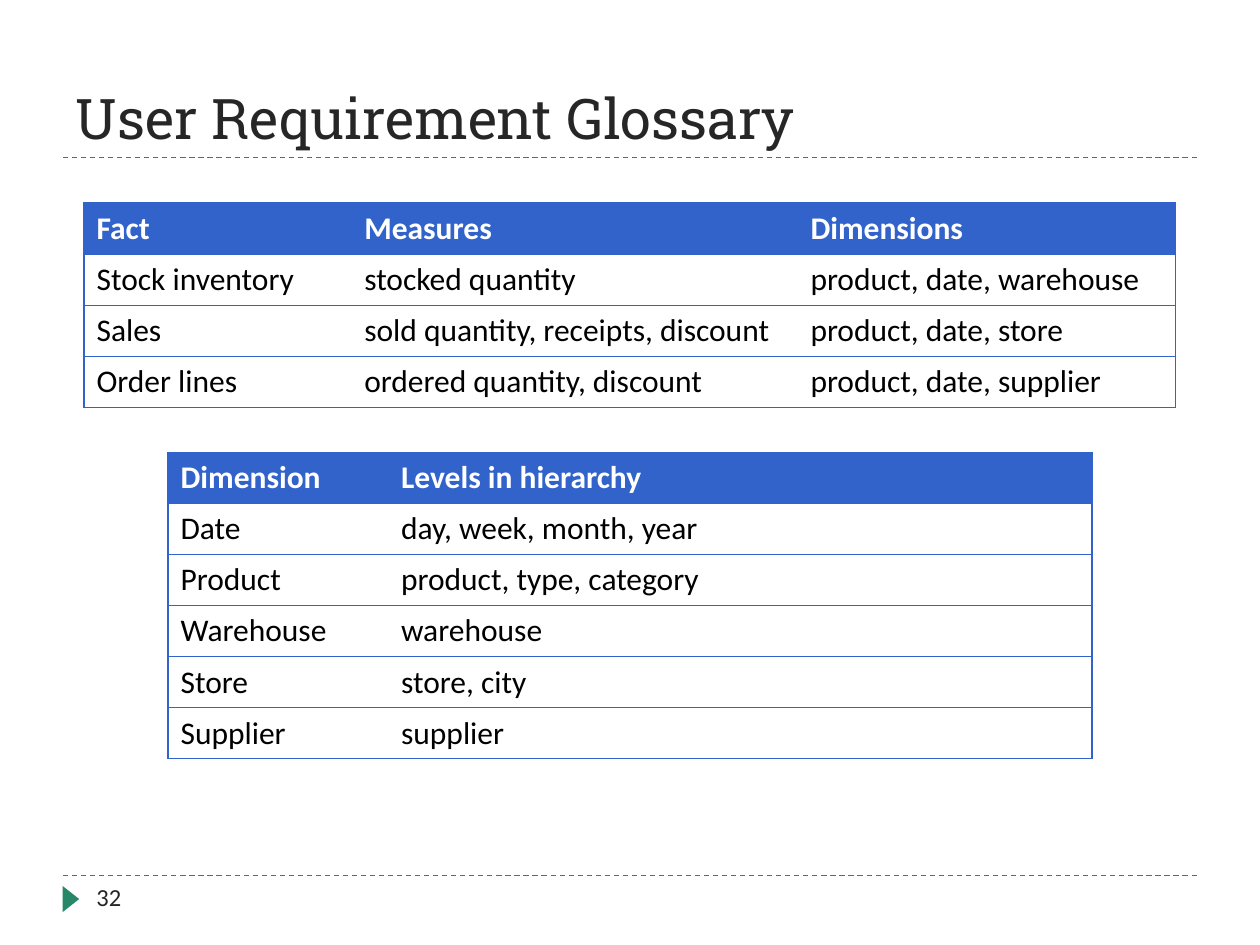
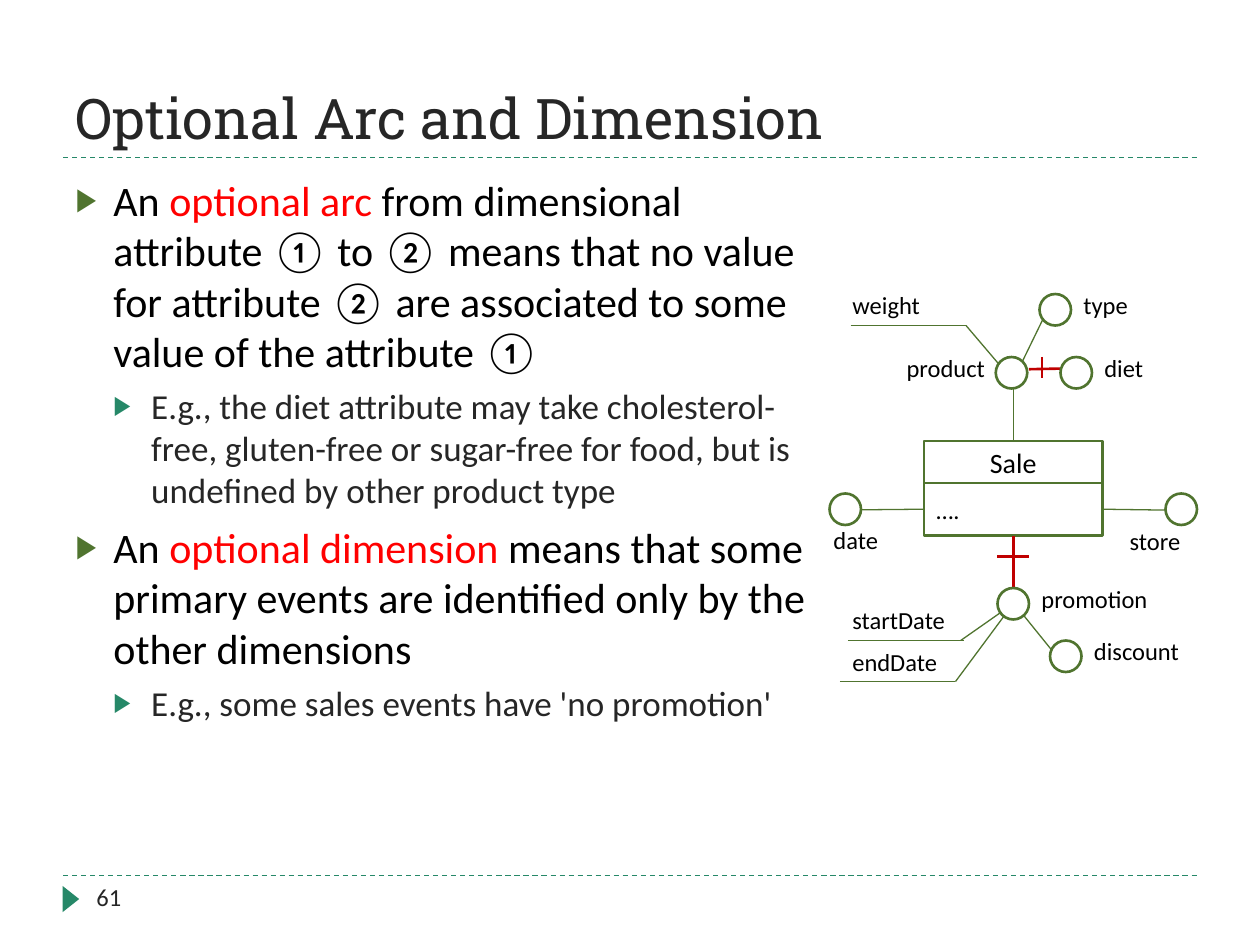
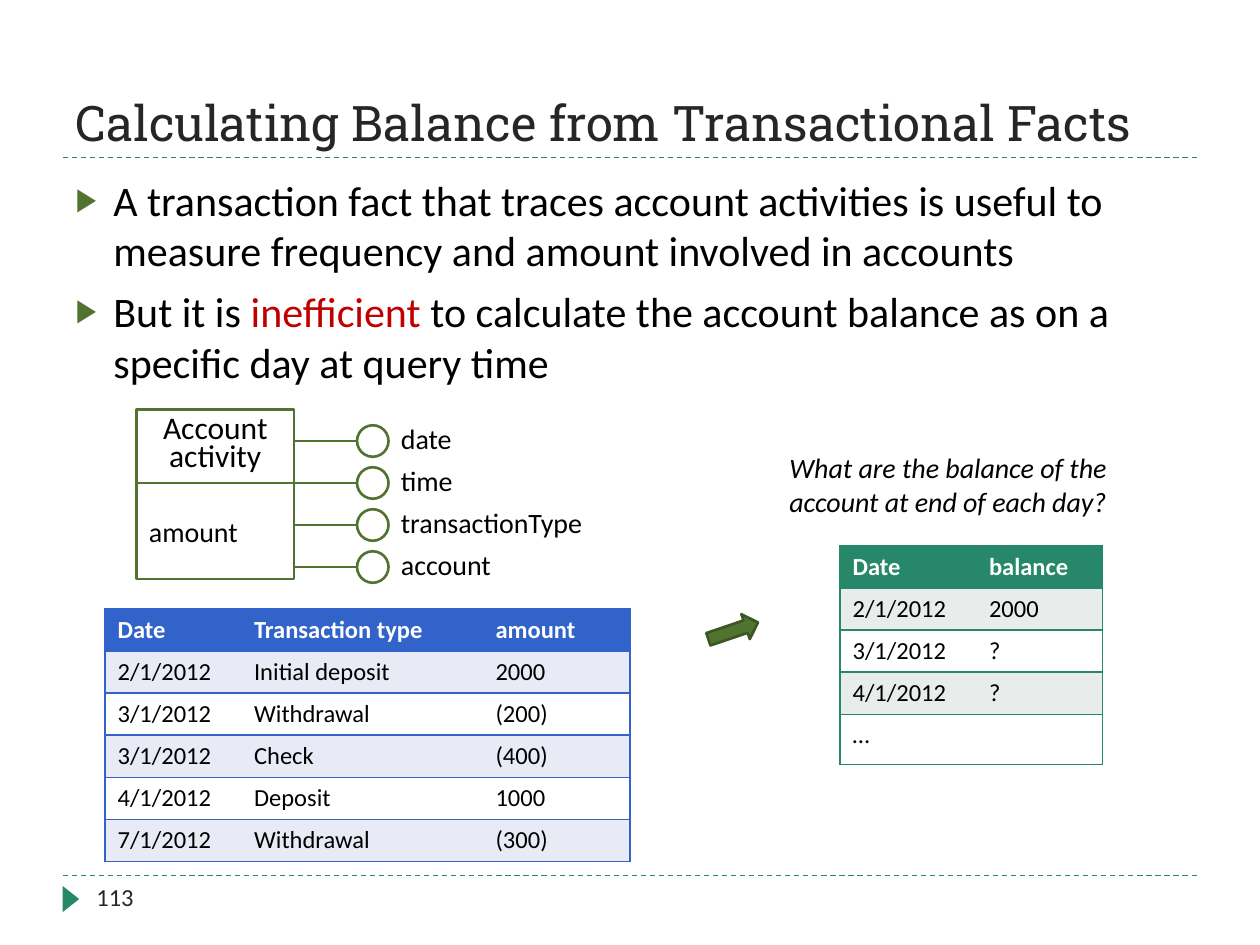
from dataclasses import dataclass

from lxml import etree
from pptx import Presentation
from pptx.dml.color import RGBColor
from pptx.enum.dml import MSO_LINE as Dash
from pptx.enum.shapes import MSO_CONNECTOR as Link, MSO_SHAPE as Preset
from pptx.enum.text import MSO_ANCHOR as Anchor, MSO_AUTO_SIZE as Fit, PP_ALIGN as Align
from pptx.oxml.ns import qn
from pptx.util import Pt


@dataclass(frozen=True)
class Theme:
    """Colours, fonts and sizes shared by the slides."""

    heading_font: str = "Roboto Slab"
    text_font: str = "Calibri"
    ink: str = "000000"
    soft_ink: str = "262626"
    paper: str = "FFFFFF"
    teal: str = "268868"
    teal_band: str = "E8EDEB"
    blue: str = "3163CA"
    blue_band: str = "E8EAF6"
    olive: str = "50742F"
    dark_olive: str = "3B5623"
    red: str = "FF0000"
    crimson: str = "C00000"
    heading: int = 32
    long_heading: int = 28
    body: int = 24
    detail: int = 20
    table: int = 18
    caption: int = 16
    label: int = 14
    thin: float = 0.75
    thick: float = 1.5
    node: int = 18


THEME = Theme()
BULLETS = [
    {"size": THEME.body, "ink": THEME.ink, "mark": THEME.olive, "before": 6},
    {"size": THEME.detail, "ink": THEME.soft_ink, "mark": THEME.teal, "before": 5},
]


def rgb(colour):
    """Turn a hex string into a colour."""
    return RGBColor.from_string(colour)


def apply(target, formats):
    """Set every attribute named in formats."""
    for name, value in formats.items():
        setattr(target, name, value)


def write(paragraph, text, size, colour=THEME.ink, font=THEME.text_font, bold=False, italic=False):
    """Add one formatted run."""
    run = paragraph.add_run()
    run.text = text
    apply(run.font, {"name": font, "size": Pt(size), "bold": bold, "italic": italic})
    run.font.color.rgb = rgb(colour)


def place(shape, box):
    """Move and size a shape to a box in points."""
    apply(shape, dict(zip(("left", "top", "width", "height"), map(Pt, box))))


def label(slide, text, box, size=THEME.label, align=Align.LEFT, **style):
    """Add a wrapped line of free text."""
    note = slide.shapes.add_textbox(*map(Pt, box))
    note.text_frame.word_wrap = True
    paragraph = note.text_frame.paragraphs[0]
    paragraph.alignment = align
    write(paragraph, text, size, **style)


def outline(slide, preset, box, fill=THEME.paper, line=THEME.olive):
    """Add a filled and outlined preset shape."""
    shape = slide.shapes.add_shape(preset, *map(Pt, box))
    shape.shadow.inherit = False
    shape.fill.solid()
    shape.fill.fore_color.rgb = rgb(fill)
    shape.line.color.rgb = rgb(line)
    shape.line.width = Pt(THEME.thick)
    return shape


def fact_part(slide, text, box, size, align=Align.LEFT, spacing=None):
    """Add one compartment of a fact box."""
    part = outline(slide, Preset.RECTANGLE, box)
    apply(part.text_frame, {"word_wrap": True, "vertical_anchor": Anchor.MIDDLE})
    paragraph = part.text_frame.paragraphs[0]
    apply(paragraph, {"alignment": align, "line_spacing": spacing})
    write(paragraph, text, size)
    return part


def node(slide, left, top):
    """Add the circle of a dimension or attribute."""
    outline(slide, Preset.OVAL, (left, top, THEME.node, THEME.node))


def arc(slide, start, end, colour=THEME.olive, width=THEME.thin, dash=None):
    """Add a straight line without a shadow."""
    connector = slide.shapes.add_connector(Link.STRAIGHT, *map(Pt, (*start, *end)))
    connector.line.color.rgb = rgb(colour)
    apply(connector.line, {"width": Pt(width), "dash_style": dash})
    etree.SubElement(connector.element.spPr, qn("a:effectLst"))
    return connector


def frame(deck, layout, heading, number, size=THEME.heading):
    """Start a slide with its title, rules and page number."""
    slide = deck.slides.add_slide(deck.slide_layouts[layout])
    for y in (500.5, 90):
        arc(slide, (36, y), (684, y), THEME.teal, dash=Dash.DASH)
    marker = outline(slide, Preset.ISOSCELES_TRIANGLE, (33, 509, 15, 9.5), THEME.teal)
    marker.line.fill.background()
    marker.rotation = 90
    title = slide.shapes.title
    place(title, (36, 12, 648, 78))
    apply(title.text_frame, {"vertical_anchor": Anchor.BOTTOM, "auto_size": Fit.NONE})
    paragraph = title.text_frame.paragraphs[0]
    paragraph.alignment = Align.LEFT
    write(paragraph, heading, size, THEME.soft_ink, THEME.heading_font)
    label(slide, number, (48, 500.5, 156, 29), colour=THEME.soft_ink)
    return slide


def add_bullet(paragraph, level):
    """Give a paragraph its indent and triangle bullet."""
    properties = paragraph._p.get_or_add_pPr()
    properties.set("marL", str(Pt(21.6 * (level + 1))))
    properties.set("indent", str(-Pt(21.6)))
    colour = etree.SubElement(properties, qn("a:buClr"))
    etree.SubElement(colour, qn("a:srgbClr"), val=BULLETS[level]["mark"])
    etree.SubElement(properties, qn("a:buSzPct"), val="76000")
    etree.SubElement(properties, qn("a:buFont"), typeface=THEME.text_font)
    etree.SubElement(properties, qn("a:buChar"), char="▶")


def bullet_list(slide, box, items):
    """Fill the body placeholder with (level, runs) items."""
    body = slide.placeholders[1]
    place(body, box)
    body.text_frame.auto_size = Fit.NONE
    for index, (level, runs) in enumerate(items):
        style = BULLETS[level]
        paragraph = body.text_frame.add_paragraph() if index else body.text_frame.paragraphs[0]
        before = Pt(style["before"] if index else 0)
        apply(paragraph, {"level": level, "space_before": before, "alignment": Align.LEFT})
        add_bullet(paragraph, level)
        for text, *accent in runs:
            write(paragraph, text, style["size"], *(accent or [style["ink"]]))


def border_cell(cell, colour, width, sides):
    """Draw the given sides of a cell and clear the others."""
    properties = cell._tc.get_or_add_tcPr()
    for index, side in enumerate("LRTB"):
        edge = etree.Element(qn(f"a:ln{side}"), w=str(Pt(width)))
        if side in sides:
            fill = etree.SubElement(edge, qn("a:solidFill"))
            etree.SubElement(fill, qn("a:srgbClr"), val=colour)
        else:
            etree.SubElement(edge, qn("a:noFill"))
        properties.insert(index, edge)


def ruled_table(slide, origin, widths, row_height, rows, size, colour, band=THEME.paper, width=1):
    """Add a table with a coloured header and horizontal rules."""
    extent = (sum(widths), row_height * len(rows))
    table = slide.shapes.add_table(len(rows), len(widths), *map(Pt, (*origin, *extent))).table
    for column, column_width in zip(table.columns, widths):
        column.width = Pt(column_width)
    for r, texts in enumerate(rows):
        table.rows[r].height = Pt(row_height)
        fill = colour if r == 0 else (THEME.paper, band)[r % 2]
        for c, text in enumerate(texts):
            cell = table.cell(r, c)
            cell.fill.solid()
            cell.fill.fore_color.rgb = rgb(fill)
            sides = "TB" + "L" * (c == 0) + "R" * (c == len(widths) - 1)
            border_cell(cell, colour, width, sides)
            ink = THEME.ink if r else THEME.paper
            write(cell.text_frame.paragraphs[0], text, size, ink, bold=r == 0)


def sale_schema(slide, x, y):
    """Draw the sale fact with its optional arc and dimension."""

    def at(left, top):
        return x + left, y + top

    arcs = [
        ((141, 6), (122, 45)), ((24, 24), (90, 24)), ((90, 24), (110, 47.5)),
        ((120, 186), (139, 209.5)), ((117, 183), (87, 204)), ((22.5, 204), (89, 204)),
        ((117, 183), (84, 227.5)), ((18, 227.5), (84, 227.5)),
    ]
    optional_arcs = [((126, 49), (151.5, 48.5)), ((133.5, 42), (133.5, 54)), ((108, 156), (126, 156))]
    nodes = [(12, 120), (204, 120), (132, 6), (144, 42), (107, 42), (108, 174), (138, 204)]
    labels = [
        ("date", 0, 134.5, 54, Align.CENTER), ("store", 174, 135, 48, Align.CENTER),
        ("product", 42, 36, 66, Align.RIGHT), ("type", 150, 0, 66, Align.LEFT),
        ("diet", 162, 36, 66, Align.LEFT), ("weight", 18, 0, 66, Align.LEFT),
        ("promotion", 126, 168, 84, Align.LEFT), ("discount", 156, 198, 84, Align.LEFT),
        ("startDate", 18, 180, 72, Align.LEFT), ("endDate", 18, 204, 72, Align.LEFT),
    ]
    measures = fact_part(slide, "….", (*at(66, 114), 102, 30), THEME.label)
    fact = fact_part(slide, "Sale", (*at(66, 90), 102, 24), THEME.caption, Align.CENTER)
    for start, end in arcs:
        arc(slide, at(*start), at(*end))
    for start, end in optional_arcs:
        arc(slide, at(*start), at(*end), THEME.crimson, THEME.thick)
    arc(slide, at(117, 60), at(117, 90)).end_connect(fact, 0)
    arc(slide, at(12, 129.5), at(66, 129)).end_connect(measures, 1)
    arc(slide, at(204, 129.5), at(168, 129)).end_connect(measures, 3)
    promotion_arc = arc(slide, at(117, 174), at(117, 144), THEME.crimson, THEME.thick)
    promotion_arc.end_connect(measures, 2)
    for spot in nodes:
        node(slide, *at(*spot))
    for text, left, top, width, align in labels:
        label(slide, text, (*at(left, top), width, 24), align=align)


def activity_schema(slide, x, y):
    """Draw the account activity fact with its dimensions."""
    fact_part(slide, "Account activity", (x, y, 90, 42), THEME.table, Align.CENTER, Pt(16))
    fact_part(slide, "amount", (x, y + 42, 90, 55), THEME.caption)
    for index, dimension in enumerate(("date", "time", "transactionType", "account")):
        middle = y + 18 + 24 * index
        arc(slide, (x + 90, middle), (x + 126, middle))
        node(slide, x + 126, middle - THEME.node / 2)
        label(slide, dimension, (x + 144, middle - 14.5, 126, 27), THEME.caption)


def glossary_slide(deck):
    """Build the glossary of facts and dimensions."""
    slide = frame(deck, 5, "User Requirement Glossary", "32")
    facts = [
        ("Fact", "Measures", "Dimensions"),
        ("Stock inventory", "stocked quantity", "product, date, warehouse"),
        ("Sales", "sold quantity, receipts, discount", "product, date, store"),
        ("Order lines", "ordered quantity, discount", "product, date, supplier"),
    ]
    hierarchies = [
        ("Dimension", "Levels in hierarchy"),
        ("Date", "day, week, month, year"),
        ("Product", "product, type, category"),
        ("Warehouse", "warehouse"),
        ("Store", "store, city"),
        ("Supplier", "supplier"),
    ]
    style = {"size": THEME.table, "colour": THEME.blue, "width": THEME.thin}
    ruled_table(slide, (48, 116), (153, 255, 216), 29.2, facts, **style)
    ruled_table(slide, (96, 258.5), (126, 402), 29.2, hierarchies, **style)


def optional_slide(deck):
    """Build the explanation of optional arcs and dimensions."""
    slide = frame(deck, 1, "Optional Arc and Dimension", "61")
    bullet_list(slide, (36, 96, 432, 389), [
        (0, [("An ",), ("optional arc ", THEME.red),
             ("from dimensional attribute ① to ② means that no value for attribute ② "
              "are associated to some value of the attribute ①",)]),
        (1, [("E.g., the diet attribute may take cholesterol-free, gluten-free or "
              "sugar-free for food, but is undefined by other product type",)]),
        (0, [("An ",), ("optional dimension ", THEME.red),
             ("means that some primary events are identified only by the other dimensions",)]),
        (1, [("E.g., some sales events have 'no promotion'",)]),
    ])
    sale_schema(slide, 462, 162)


def balance_slide(deck):
    """Build the comparison of transactions and daily balances."""
    heading = "Calculating Balance from Transactional Facts"
    slide = frame(deck, 1, heading, "113", THEME.long_heading)
    bullet_list(slide, (36, 96, 648, 126), [
        (0, [("A transaction fact that traces account activities is useful to measure "
              "frequency and amount involved in accounts",)]),
        (0, [("But it is ",), ("inefficient", THEME.crimson),
             (" to calculate the account balance as on a specific day at query time",)]),
    ])
    activity_schema(slide, 78, 234)
    transactions = [
        ("Date", "Transaction type", "amount"),
        ("2/1/2012", "Initial deposit", "2000"),
        ("3/1/2012", "Withdrawal", "(200)"),
        ("3/1/2012", "Check", "(400)"),
        ("4/1/2012", "Deposit", "1000"),
        ("7/1/2012", "Withdrawal", "(300)"),
    ]
    balances = [
        ("Date", "balance"), ("2/1/2012", "2000"), ("3/1/2012", "?"), ("4/1/2012", "?"), ("…", ""),
    ]
    ruled_table(slide, (60, 348), (78, 138, 84), 24, transactions,
                THEME.label, THEME.blue, THEME.blue_band)
    ruled_table(slide, (480, 312), (78, 72), 24, balances,
                THEME.label, THEME.teal, THEME.teal_band)
    arrow = outline(slide, Preset.RIGHT_ARROW, (404, 353, 30, 15), THEME.olive, THEME.dark_olive)
    arrow.rotation = 341.3
    label(slide, "What are the balance of the account at end of each day?",
          (444, 254, 204, 46), THEME.caption, italic=True)


def main():
    """Build and save the deck."""
    deck = Presentation()
    apply(deck, {"slide_width": Pt(720), "slide_height": Pt(540)})
    for build in (glossary_slide, optional_slide, balance_slide):
        build(deck)
    deck.save("out.pptx")


if __name__ == "__main__":
    main()
